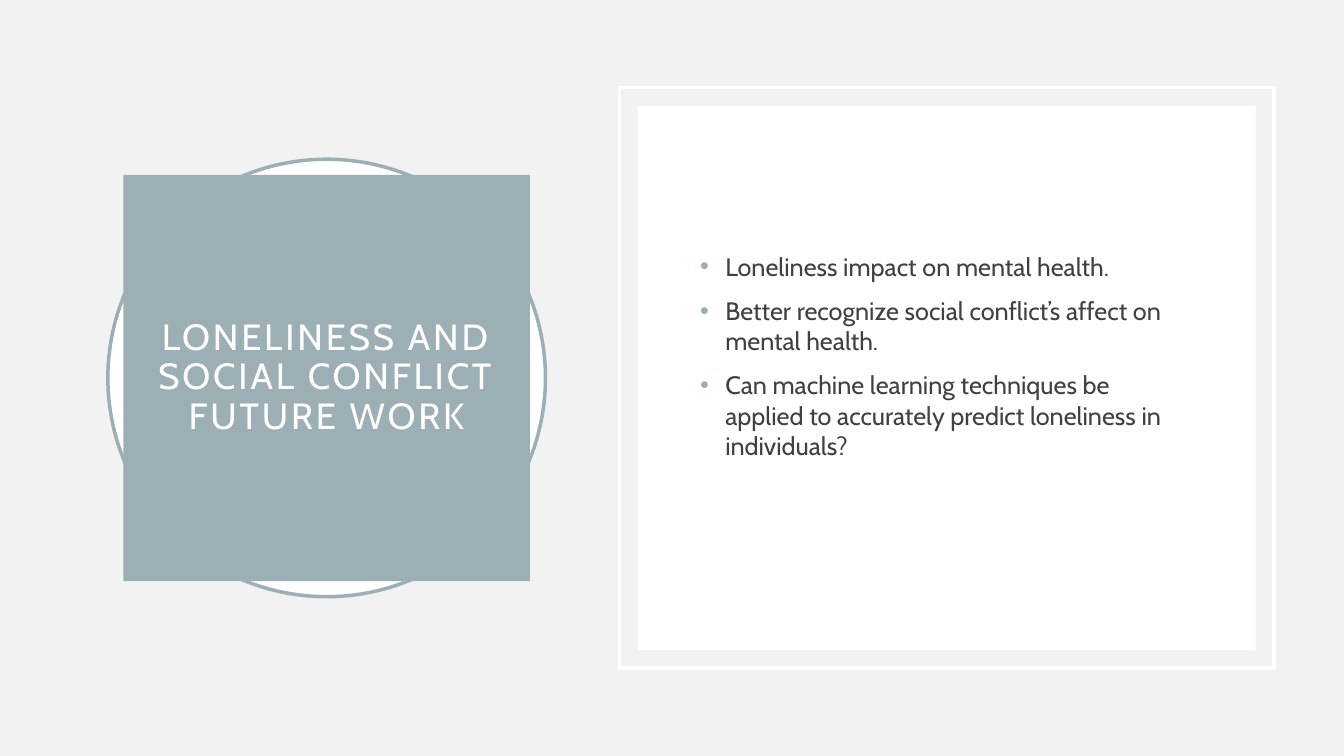
from lxml import etree
from pptx import Presentation
from pptx.dml.color import RGBColor
from pptx.enum.shapes import MSO_SHAPE
from pptx.enum.text import MSO_ANCHOR, PP_ALIGN
from pptx.oxml.ns import qn
from pptx.util import Inches, Pt

RECT, OVAL = MSO_SHAPE.RECTANGLE, MSO_SHAPE.OVAL
MIDDLE = MSO_ANCHOR.MIDDLE
LEFT, CENTER = PP_ALIGN.LEFT, PP_ALIGN.CENTER

# Content
TITLE = ["LONELINESS AND SOCIAL CONFLICT\vFUTURE WORK"]
POINTS = [
    "Loneliness impact on mental health.",
    "Better recognize social conflict’s affect on mental health.",
    "Can machine learning techniques be applied to accurately predict "
    "loneliness in individuals?",
]

# Look
FONT = "Cabin"
PAPER, WHITE, TEAL, INK = "F2F2F2", "FFFFFF", "9BAFB5", "404040"
WIDTH, HEIGHT = 13.33, 7.5
MID = HEIGHT / 2
BORDER = 2.5


def color(value):
    return RGBColor.from_string(value)


def centered(cx, w, h):
    """Box of the given size around cx on the slide's horizontal midline."""
    return [Inches(v) for v in (cx - w / 2, MID - h / 2, w, h)]


def add_box(kind, box, fill=None, line=None):
    s = slide.shapes.add_shape(kind, *box)
    s.shadow.inherit = False
    if fill:
        s.fill.solid()
        s.fill.fore_color.rgb = color(fill)
    else:
        s.fill.background()
    if line:
        s.line.color.rgb = color(line)
        s.line.width = Pt(BORDER)
    else:
        s.line.fill.background()
    return s


def add_bullet(p, hex_color, indent):
    pPr = p._p.get_or_add_pPr()
    pPr.set("marL", str(Inches(indent)))
    pPr.set("indent", str(-Inches(indent)))
    clr = etree.SubElement(pPr, qn("a:buClr"))
    etree.SubElement(clr, qn("a:srgbClr"), val=hex_color)
    etree.SubElement(pPr, qn("a:buFont"), typeface="Arial")
    etree.SubElement(pPr, qn("a:buChar"), char="•")


def write(s, lines, size, ink, insets, align=LEFT, leading=None,
          before=0, tracking=0, bullet=None):
    tf = s.text_frame
    tf.word_wrap = True
    tf.vertical_anchor = MIDDLE
    (tf.margin_left, tf.margin_top,
     tf.margin_right, tf.margin_bottom) = [Inches(v) for v in insets]
    for i, line in enumerate(lines):
        p = tf.add_paragraph() if i else tf.paragraphs[0]
        p.text = line
        p.alignment = align
        p.space_before = Pt(before)
        if leading:
            p.line_spacing = leading
        if bullet:
            add_bullet(p, bullet, 0.25)
        for r in p.runs:
            r.font.name = FONT
            r.font.size = Pt(size)
            r.font.color.rgb = color(ink)
            if tracking:
                r._r.get_or_add_rPr().set("spc", str(tracking * 100))


prs = Presentation()
prs.slide_width, prs.slide_height = Inches(WIDTH), Inches(HEIGHT)
slide = prs.slides.add_slide(prs.slide_layouts[6])
slide.background.fill.solid()
slide.background.fill.fore_color.rgb = color(PAPER)

# Title square over a ringed circle
title_x = 3.24
add_box(OVAL, centered(title_x, 4.34, 4.34), WHITE, TEAL)
title = add_box(RECT, centered(title_x, 4.03, 4.03), TEAL)
write(title, TITLE, 26, WHITE, [0.2] * 4, CENTER, leading=0.9, tracking=2)

# Framed panel with the bullet list
panel_x = 9.39
add_box(RECT, centered(panel_x, 6.49, 5.76), line=WHITE)
add_box(RECT, centered(panel_x, 6.13, 5.4), WHITE)
body = slide.shapes.add_textbox(*centered(panel_x, 5.09, 4.34))
# The deeper bottom inset lifts the list above the midline
write(body, POINTS, 18, INK, (0.1, 0.05, 0.1, 0.49), before=10, bullet=TEAL)

prs.save("out.pptx")
